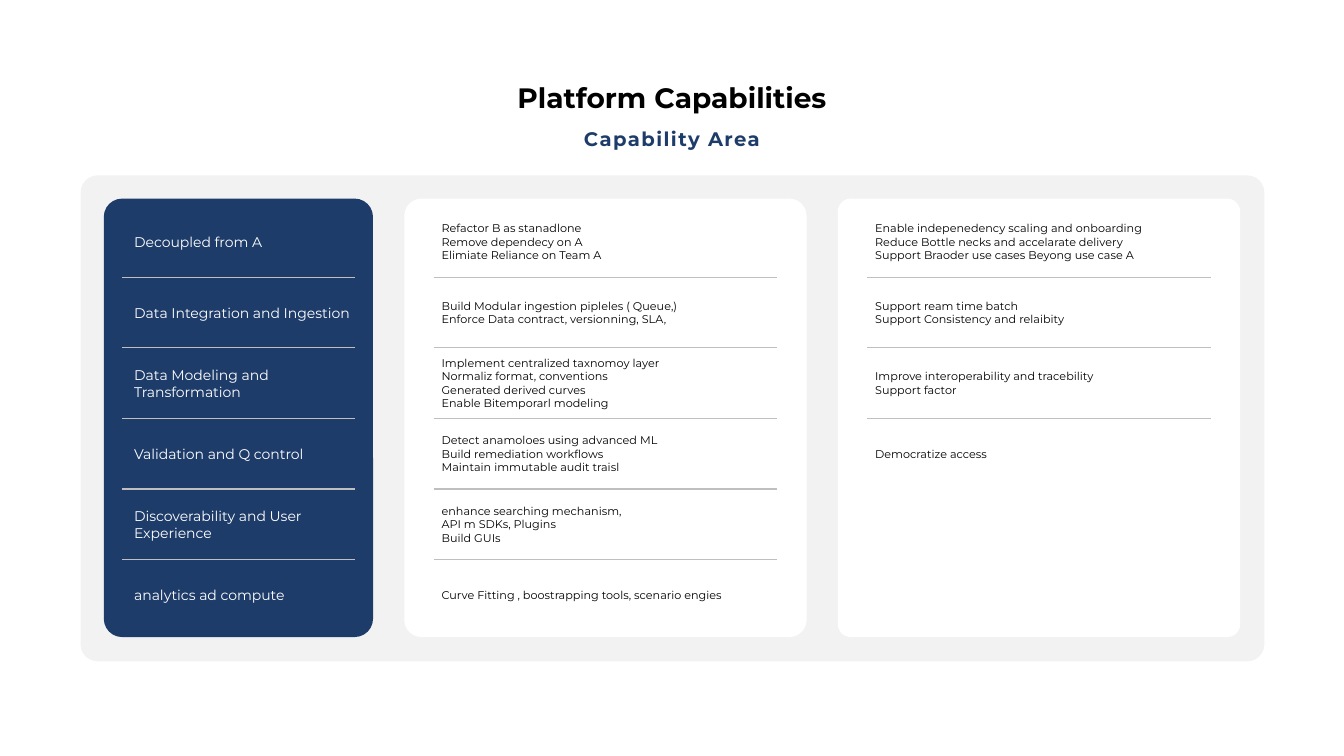
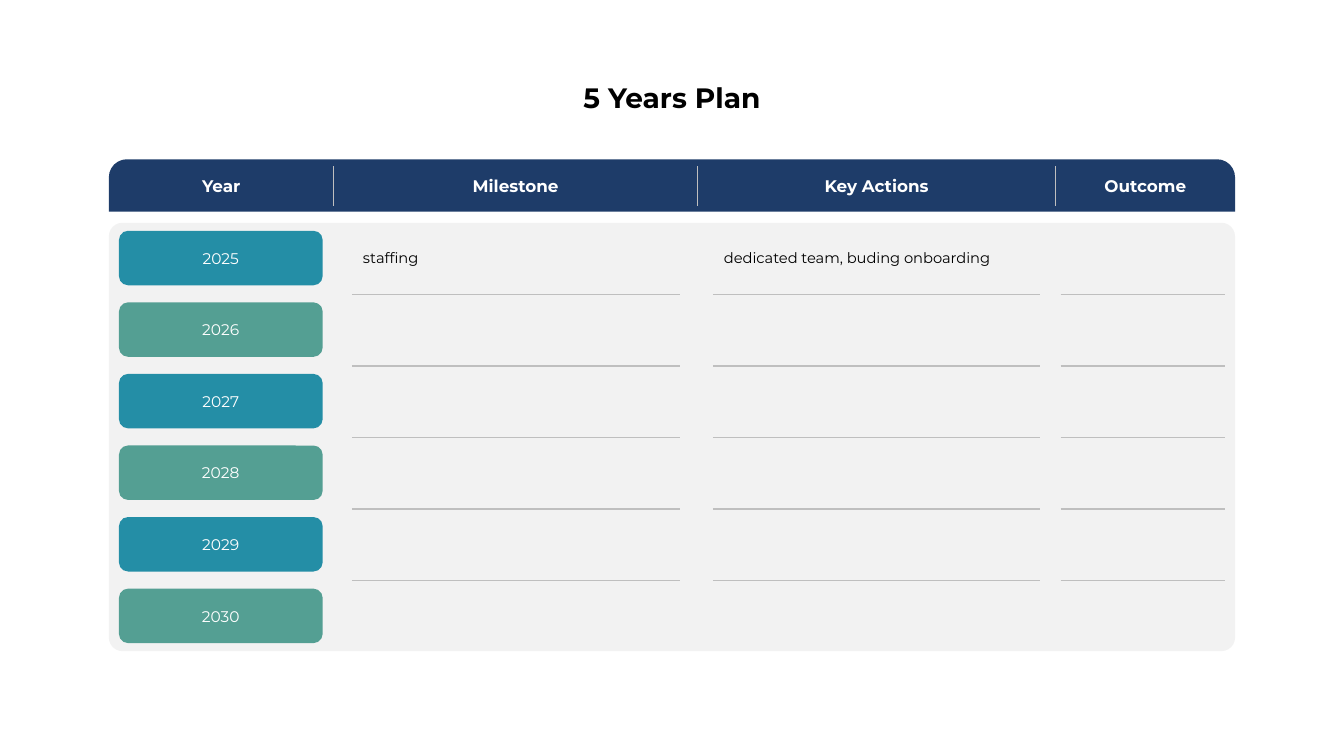
from lxml import etree
from pptx import Presentation
from pptx import util as u
from pptx.dml.color import RGBColor
from pptx.enum import shapes, text
from pptx.oxml.ns import qn

PX = 9144  # EMU per px: 100 px to the inch
FONT = "Montserrat"
NAVY, BLUE, GREEN = "1E3C69", "248EA6", "549F93"
BLACK, WHITE, PANEL, RULE = "000000", "FFFFFF", "F2F2F2", "BFBFBF"
ROUNDED = shapes.MSO_SHAPE.ROUNDED_RECTANGLE
ROUNDED_TOP = shapes.MSO_SHAPE.ROUND_2_SAME_RECTANGLE
LEFT, CENTER = text.PP_ALIGN.LEFT, text.PP_ALIGN.CENTER
TITLE_BOX = (167, 75, 999, 44)

CAPABILITIES = [
    "Decoupled from A",
    "Data Integration and Ingestion",
    "Data Modeling and Transformation",
    "Validation and Q control",
    "Discoverability and User Experience",
    "analytics ad compute",
]
ACTIONS = [
    "Refactor B as stanadlone\nRemove dependecy on A\nElimiate Reliance on Team A",
    "Build Modular ingestion pipleles ( Queue,)\nEnforce Data contract, versionning, SLA,",
    "Implement centralized taxnomoy layer\nNormaliz format, conventions\n"
    "Generated derived curves\nEnable Bitemporarl modeling",
    "Detect anamoloes using advanced ML\nBuild remediation workflows\n"
    "Maintain immutable audit traisl",
    "enhance searching mechanism,\nAPI m SDKs, Plugins\nBuild GUIs",
    "Curve Fitting , boostrapping tools, scenario engies",
]
BENEFITS = [
    "Enable indepenedency scaling and onboarding\n"
    "Reduce Bottle necks and accelarate delivery\n"
    "Support Braoder use cases Beyong use case A",
    "Support ream time batch\nSupport Consistency and relaibity",
    "Improve interoperability and tracebility\nSupport factor",
    "Democratize access",
]
YEARS = ["2025", "2026", "2027", "2028", "2029", "2030"]
HEADINGS = ["Year", "Milestone", "Key Actions", "Outcome"]


def px(*lengths):
    return [u.Emu(length * PX) for length in lengths]


def color(hex_string):
    return RGBColor.from_string(hex_string)


def write(shape, words, size, ink, bold=False, align=CENTER, inset=10, spacing=0):
    """Fill a shape with one middle-anchored paragraph; newlines become breaks."""
    frame = shape.text_frame
    frame.word_wrap = True
    frame.auto_size = text.MSO_AUTO_SIZE.NONE
    frame.vertical_anchor = text.MSO_ANCHOR.MIDDLE
    frame.margin_left = frame.margin_right = px(inset)[0]
    frame.margin_top = frame.margin_bottom = 0
    paragraph = frame.paragraphs[0]
    paragraph.alignment = align
    for number, line in enumerate(words.split("\n")):
        if number:
            paragraph.add_line_break()
        run = paragraph.add_run()
        run.text = line
        run.font.name = FONT
        run.font.size = u.Pt(size)
        run.font.bold = bold
        run.font.color.rgb = color(ink)
        if spacing:
            run._r.get_or_add_rPr().set("spc", str(spacing))


def add_text(slide, box, words, size, ink, **style):
    write(slide.shapes.add_textbox(*px(*box)), words, size, ink, **style)


def add_block(slide, kind, box, fill, *adjustments):
    shape = slide.shapes.add_shape(kind, *px(*box))
    shape.shadow.inherit = False
    shape.fill.solid()
    shape.fill.fore_color.rgb = color(fill)
    shape.line.fill.background()
    for index, value in enumerate(adjustments):
        shape.adjustments[index] = value
    return shape


def add_rule(slide, x1, y1, x2, y2):
    rule = slide.shapes.add_connector(
        shapes.MSO_CONNECTOR.STRAIGHT, *px(x1, y1, x2, y2))
    rule.line.color.rgb = color(RULE)
    rule.line.width = u.Pt(1)
    etree.SubElement(rule._element.spPr, qn("a:effectLst"))


def add_titled_slide(presentation, title):
    slide = presentation.slides.add_slide(presentation.slide_layouts[5])
    shape = slide.shapes.title
    shape.left, shape.top, shape.width, shape.height = px(*TITLE_BOX)
    write(shape, title, 20, BLACK, bold=True)
    return slide


def add_card(slide, left, width, fill, corner, rows, size, ink, text_indent, rule_indent):
    """Draw a card of equal rows, with a rule between neighbouring rows."""
    top, pitch = 205, 70
    add_block(slide, ROUNDED, (left, 197, width, 435), fill, corner)
    for index, words in enumerate(rows):
        y = top + index * pitch
        if index:
            add_rule(slide, left + rule_indent, y, left + width - rule_indent, y)
        box = (left + text_indent, y, width - text_indent - 10, pitch)
        add_text(slide, box, words, size, ink, align=LEFT, inset=1)


def build_capabilities(presentation):
    slide = add_titled_slide(presentation, "Platform Capabilities")
    add_text(slide, (167, 121, 999, 34), "Capability Area", 14, NAVY,
             bold=True, spacing=100)
    add_block(slide, ROUNDED, (80, 174, 1174, 482), PANEL, 0.035)
    add_card(slide, 103, 267, NAVY, 0.068, CAPABILITIES, 10, WHITE, 29, 18)
    add_card(slide, 401, 399, WHITE, 0.043, ACTIONS, 8, BLACK, 36, 29)
    add_card(slide, 831, 399, WHITE, 0.032, BENEFITS, 8, BLACK, 36, 29)


def build_plan(presentation):
    slide = add_titled_slide(presentation, "5 Years Plan")
    edges = [108, 331, 692, 1047, 1225]
    width = edges[-1] - edges[0]
    add_block(slide, ROUNDED, (edges[0], 221, width, 425), PANEL, 0.032)
    add_block(slide, ROUNDED_TOP, (edges[0], 158, width, 52), NAVY, 0.343, 0)
    for heading, left, right in zip(HEADINGS, edges, edges[1:]):
        add_text(slide, (left, 158, right - left, 52), heading, 12, WHITE, bold=True)
    for x in edges[1:-1]:
        add_rule(slide, x, 165, x, 204)

    columns = [(349, 674), (707, 1032), (1052, 1215)]
    pitch = 71
    for index, year in enumerate(YEARS):
        y = 229 + index * pitch
        fill = GREEN if index % 2 else BLUE
        write(add_block(slide, ROUNDED, (118, y, 202, 54), fill), year, 11, WHITE)
        if index:
            for left, right in columns:
                add_rule(slide, left, y - 8, right, y - 8)
    for words, (left, right) in zip(["staffing", "dedicated team, buding onboarding"], columns):
        add_text(slide, (left, 229, right - left, 54), words, 10.5, BLACK,
                 align=LEFT, inset=11)


def main():
    presentation = Presentation()
    presentation.slide_width, presentation.slide_height = px(1333, 750)
    build_capabilities(presentation)
    build_plan(presentation)
    presentation.save("out.pptx")


if __name__ == "__main__":
    main()
